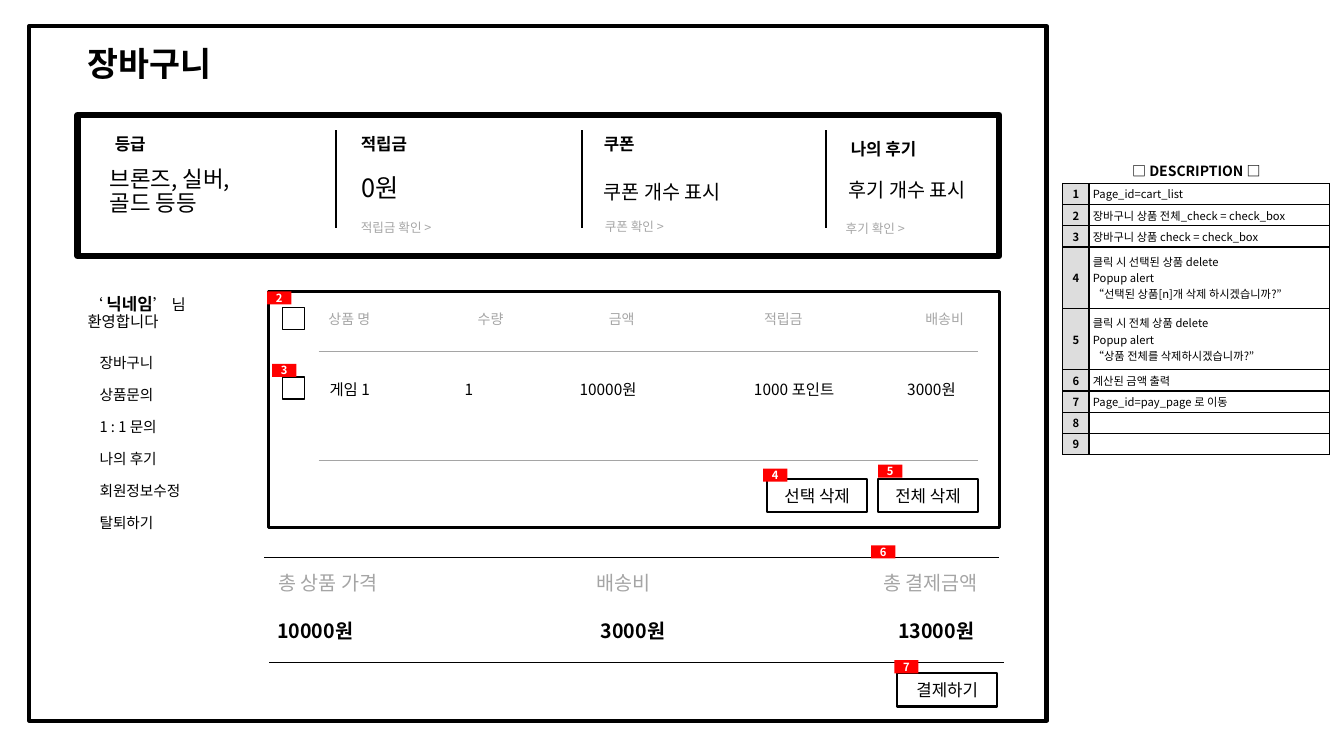
from lxml import etree
from pptx import Presentation
from pptx import util as u
from pptx.dml.color import RGBColor
from pptx.enum import shapes, text
from pptx.oxml.ns import qn

THEME = {
    "font": "Noto Sans CJK KR", "black": "000000", "muted": "A6A6A6", "rule": "A5A5A5",
    "white": "FFFFFF", "badge": "FF0000", "number": "DDDDDD",
    "title": 24, "points": 18, "grade": 16, "total": 14, "label": 12, "body": 11,
    "menu": 10.5, "header": 10, "link": 9, "note": 8, "spacing": 0.9,
}
FRAMES = [(0.29, 0.26, 10.09, 6.89, 3), (2.66, 2.89, 7.25, 2.34, 2.25),
          (0.77, 1.14, 9.14, 1.4, 4.5), (2.8, 3.05, 0.22, 0.22, 1), (2.8, 3.74, 0.22, 0.22, 1)]
RULES = [(3.16, 3.49, 9.7, 3.49, "rule", 0.5), (3.16, 4.57, 9.7, 4.57, "rule", 0.5),
         (2.62, 5.53, 9.91, 5.53, "black", 1), (2.67, 6.57, 9.96, 6.57, "black", 1)]
DIVIDERS = [3.33, 5.77, 8.19]
BENEFITS = [
    [("등급", 1.04, 1.3), ("브론즈, 실버,\v골드 등등", 0.99, 1.62, "grade")],
    [("적립금", 3.48, 1.3), ("0원", 3.49, 1.69, "points"), ("적립금 확인 >", 3.48, 2.15)],
    [("쿠폰", 5.89, 1.3), ("쿠폰 개수 표시", 5.89, 1.76, "total"), ("쿠폰 확인 >", 5.9, 2.14)],
    [("나의 후기", 8.34, 1.35), ("후기 개수 표시", 8.32, 1.74, "total"), ("후기 확인 >", 8.29, 2.16)],
]
WELCOME = [("‘ ", "body", False), ("닉네임", "label", True), ("’ 님 환영합니다", "body", False)]
MENU = ["장바구니", "상품문의", "1 : 1 문의", "나의 후기", "회원정보수정", "탈퇴하기"]
ROWS = [
    (3.05, "header", "muted", False,
     [("상품 명", 3.16), ("수량", 4.64), ("금액", 5.94), ("적립금", 7.48), ("배송비", 9.08)]),
    (3.74, "body", "black", False,
     [("게임 1", 3.17), ("1", 4.51), ("10000원", 5.65), ("1000 포인트", 7.38), ("3000원", 8.9)]),
    (5.64, "total", "rule", False, [("총 상품 가격", 2.66), ("배송비", 5.82), ("총 결제금액", 8.66)]),
    (6.12, "total", "black", True, [("10000원", 2.65), ("3000원", 5.86), ("13000원", 8.81)]),
]
BUTTONS = [("선택 삭제", 7.61, 4.75), ("전체 삭제", 8.71, 4.75), ("결제하기", 8.9, 6.68)]
BADGES = [(2.65, 2.89), (2.7, 3.61), (7.57, 4.65), (8.71, 4.61), (8.64, 5.41), (8.87, 6.55)]
NOTES = [
    ["Page_id=cart_list"],
    ["장바구니 상품 전체_check = check_box"],
    ["장바구니 상품 check = check_box"],
    ["클릭 시 선택된 상품 delete", "Popup alert", "“선택된 상품[n]개 삭제 하시겠습니까?”"],
    ["클릭 시 전체 상품 delete", "Popup alert", "“상품 전체를 삭제하시겠습니까?”"],
    ["계산된 금액 출력"],
    ["Page_id=pay_page 로 이동"],
    [], [],
]


def color(name):
    return RGBColor.from_string(THEME[name])


def apply(target, values):
    for name, value in values.items():
        setattr(target, name, value)


def add_span(para, words, size, ink="black", bold=False):
    para.add_run().text = words
    for span in para.runs:
        props = span._r.get_or_add_rPr()
        if props.find(qn("a:ea")) is None:
            apply(span.font, {"size": u.Pt(THEME[size]), "bold": bold, "name": THEME["font"]})
            span.font.color.rgb = color(ink)
            etree.SubElement(props, qn("a:ea"), typeface=THEME["font"])


def add_words(page, left, top, lines, size, ink="black", bold=False, gap=0):
    box = page.shapes.add_textbox(*map(u.Inches, (left, top, 1.9, 0.3)))
    box.text_frame.word_wrap = False
    for index, line in enumerate(lines):
        para = box.text_frame.paragraphs[0] if index == 0 else box.text_frame.add_paragraph()
        apply(para, {"line_spacing": THEME["spacing"], "space_after": u.Pt(gap)})
        spans = [(line, size, bold)] if isinstance(line, str) else line
        for words, span_size, span_bold in spans:
            for part, piece in enumerate(words.split("\v")):
                if part:
                    para.add_line_break()
                add_span(para, piece, span_size, ink, span_bold)


def add_box(page, left, top, width, height, weight=0, fill=None):
    box = page.shapes.add_shape(shapes.MSO_SHAPE.RECTANGLE, *map(u.Inches, (left, top, width, height)))
    box.shadow.inherit = False
    if fill:
        box.fill.solid()
        box.fill.fore_color.rgb = color(fill)
    else:
        box.fill.background()
    if weight:
        box.line.color.rgb = color("black")
        box.line.width = u.Pt(weight)
    else:
        box.line.fill.background()
    return box


def label_box(box, words, size, ink, bold):
    apply(box.text_frame, {"word_wrap": False, "vertical_anchor": text.MSO_ANCHOR.MIDDLE})
    para = box.text_frame.paragraphs[0]
    para.alignment = text.PP_ALIGN.CENTER
    add_span(para, words, size, ink, bold)


def add_rule(page, x1, y1, x2, y2, ink, weight):
    rule = page.shapes.add_connector(shapes.MSO_CONNECTOR.STRAIGHT, *map(u.Inches, (x1, y1, x2, y2)))
    rule.line.color.rgb = color(ink)
    rule.line.width = u.Pt(weight)
    etree.SubElement(rule._element.spPr, qn("a:effectLst"))


def fill_cell(cell, lines, fill, centered, bold, size="note", sides="LRTB"):
    apply(cell, {"margin_left": u.Inches(0.04), "margin_right": u.Inches(0.04),
                 "margin_top": u.Inches(0.02), "margin_bottom": u.Inches(0.02),
                 "vertical_anchor": text.MSO_ANCHOR.MIDDLE})
    props = cell._tc.get_or_add_tcPr()
    for side in "LRTB":
        edge = etree.SubElement(props, qn("a:ln" + side), w=str(u.Pt(1)))
        if side in sides:
            paint = etree.SubElement(edge, qn("a:solidFill"))
            etree.SubElement(paint, qn("a:srgbClr"), val=THEME["black"])
        else:
            etree.SubElement(edge, qn("a:noFill"))
    cell.fill.solid()
    cell.fill.fore_color.rgb = color(fill)
    for index, line in enumerate(lines):
        para = cell.text_frame.paragraphs[0] if index == 0 else cell.text_frame.add_paragraph()
        para.alignment = text.PP_ALIGN.CENTER if centered else text.PP_ALIGN.LEFT
        add_span(para, line, size, bold=bold)
    if not lines:
        cell.text_frame.paragraphs[0].font.size = u.Pt(THEME[size])


def add_description(page):
    heights = [0.25] + [0.61 if len(lines) > 1 else 0.21 for lines in NOTES]
    frame = page.shapes.add_table(len(heights), 2, *map(u.Inches, (10.54, 1.57, 2.65, sum(heights))))
    table = frame.table
    apply(table, {"first_row": False, "horz_banding": False})
    for column, width in zip(table.columns, (0.26, 2.39)):
        column.width = u.Inches(width)
    for row, height in zip(table.rows, heights):
        row.height = u.Inches(height)
    table.cell(0, 0).merge(table.cell(0, 1))
    fill_cell(table.cell(0, 0), ["□ DESCRIPTION □"], "white", True, True, "header", "B")
    fill_cell(table.cell(0, 1), [], "white", True, True, "header", "B")
    for number, lines in enumerate(NOTES, 1):
        fill_cell(table.cell(number, 0), [str(number)], "number", True, True)
        fill_cell(table.cell(number, 1), lines, "white", False, False)


def main():
    deck = Presentation()
    apply(deck, {"slide_width": u.Inches(13.33), "slide_height": u.Inches(7.5)})
    page = deck.slides.add_slide(deck.slide_layouts[6])
    for frame in FRAMES:
        add_box(page, *frame)
    for rule in RULES + [(x, 1.29, x, 2.26, "black", 1.5) for x in DIVIDERS]:
        add_rule(page, *rule)
    add_words(page, 0.77, 0.42, ["장바구니"], "title", bold=True)
    for heading, value, *links in BENEFITS:
        add_words(page, *heading[1:], heading[:1], "label", bold=True)
        add_words(page, *value[1:3], value[:1], value[3])
        for words, left, top in links:
            add_words(page, left, top, [words], "link", "muted")
    add_words(page, 0.77, 2.89, [WELCOME], "body")
    add_words(page, 0.89, 3.48, MENU, "menu", gap=11.5)
    for top, size, ink, bold, cells in ROWS:
        for words, left in cells:
            add_words(page, left, top, [words], size, ink, bold)
    for words, left, top in BUTTONS:
        label_box(add_box(page, left, top, 0.99, 0.33, 1.5), words, "label", "black", False)
    add_description(page)
    for number, (left, top) in enumerate(BADGES, 2):
        label_box(add_box(page, left, top, 0.24, 0.13, fill="badge"), str(number), "note", "white", True)
    deck.save("out.pptx")


if __name__ == "__main__":
    main()
